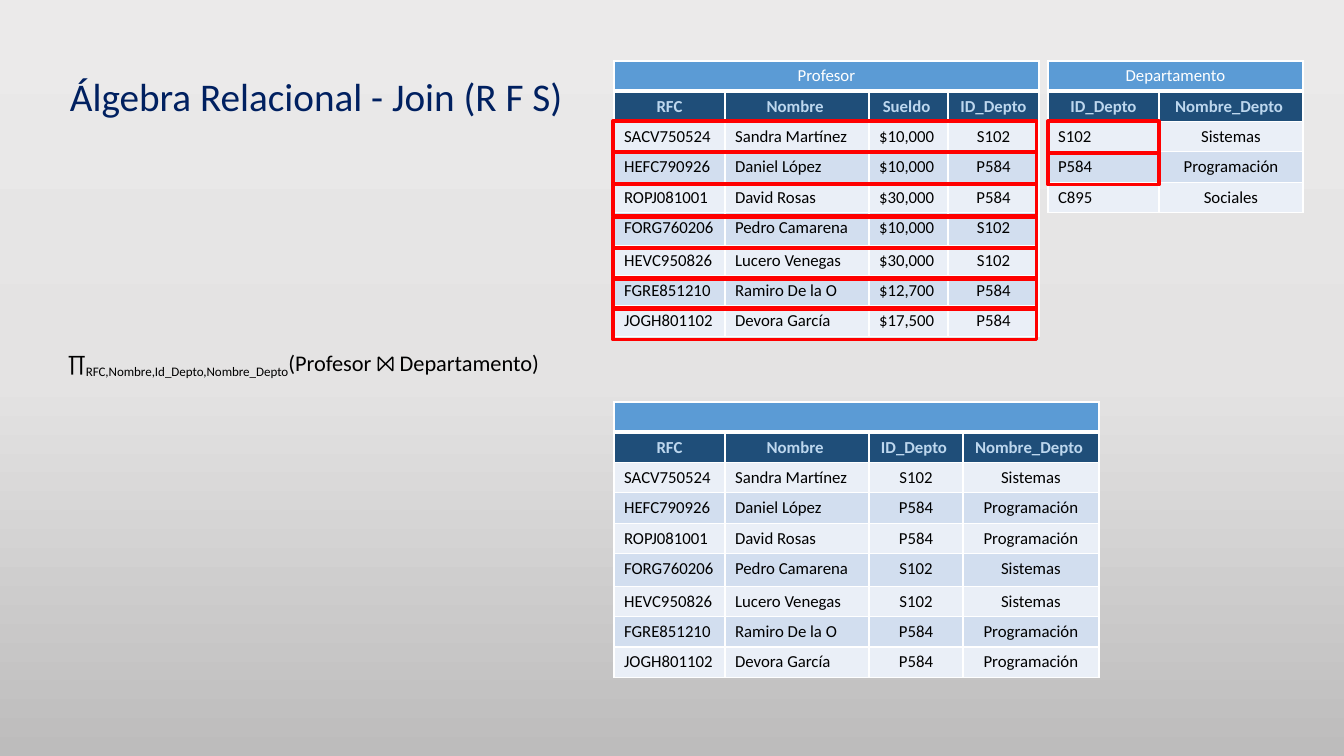
from lxml.etree import SubElement
from pptx import Presentation
from pptx.dml.color import RGBColor
from pptx.enum.shapes import MSO_SHAPE
from pptx.enum.text import PP_ALIGN
from pptx.oxml.ns import qn
from pptx.util import Emu, Pt

FONT = "Calibri"
NAVY, BLACK, WHITE, RED = "002060", "000000", "FFFFFF", "FF0000"
TITLE_FILL, HEADER_FILL, HEADER_TEXT = "5B9BD5", "1F4E79", "BDD7EE"
BANDS = ["EAEFF7", "D2DEEF"]
BACKGROUND = [(0, "EBEAEA"), (50, "E4E3E3"), (100, "BDBCBC")]
ALIGNMENTS = {"l": PP_ALIGN.LEFT, "c": PP_ALIGN.CENTER}
ROW, TALL_ROW, TALL_INDEX = 30, 33, 5

PROFESSORS = [
    ("SACV750524", "Sandra Martínez", "$10,000", "S102"),
    ("HEFC790926", "Daniel López", "$10,000", "P584"),
    ("ROPJ081001", "David Rosas", "$30,000", "P584"),
    ("FORG760206", "Pedro Camarena", "$10,000", "S102"),
    ("HEVC950826", "Lucero Venegas", "$30,000", "S102"),
    ("FGRE851210", "Ramiro De la O", "$12,700", "P584"),
    ("JOGH801102", "Devora García", "$17,500", "P584"),
]
DEPARTMENTS = {"S102": "Sistemas", "P584": "Programación", "C895": "Sociales"}
JOINED = [
    (rfc, name, department, DEPARTMENTS[department])
    for rfc, name, salary, department in PROFESSORS
]


def px(length):
    return Emu(round(length * 914400 / 100.8))


def color(value):
    return RGBColor.from_string(value)


class JoinSlide:
    def __init__(self, presentation):
        self.slide = presentation.slides.add_slide(presentation.slide_layouts[6])

    def background(self, stops):
        fill = self.slide.background.fill
        fill.gradient()
        fill.gradient_angle = 270
        stop_list = self.slide.element.find(".//" + qn("a:gsLst"))
        stop_list.clear()
        for position, value in stops:
            stop = SubElement(stop_list, qn("a:gs"), pos=str(position * 1000))
            SubElement(stop, qn("a:srgbClr"), val=value)

    def style(self, run, size, value, bold=False):
        run.font.name = FONT
        run.font.size = Pt(size)
        run.font.bold = bold
        run.font.color.rgb = color(value)

    def text(self, left, top, width, height, pieces, size, value):
        shape = self.slide.shapes.add_textbox(px(left), px(top), px(width), px(height))
        shape.text_frame.word_wrap = True
        paragraph = shape.text_frame.paragraphs[0]
        for piece, baseline in pieces:
            run = paragraph.add_run()
            run.text = piece
            self.style(run, size, value)
            if baseline:
                run.font._element.set("baseline", str(baseline * 1000))
        return paragraph

    def borders(self, cell, bottom):
        properties = cell._tc.get_or_add_tcPr()
        widths = {"a:lnL": 1, "a:lnR": 1, "a:lnT": 1, "a:lnB": bottom}
        for index, (side, width) in enumerate(widths.items()):
            line = properties.makeelement(qn(side), {"w": str(Pt(width))})
            properties.insert(index, line)
            SubElement(SubElement(line, qn("a:solidFill")), qn("a:srgbClr"), val=WHITE)

    def cell(self, cell, text, alignment, fill, value, bold=False, bottom=1):
        cell.fill.solid()
        cell.fill.fore_color.rgb = color(fill)
        self.borders(cell, bottom)
        paragraph = cell.text_frame.paragraphs[0]
        paragraph.text = text
        paragraph.alignment = ALIGNMENTS[alignment]
        for run in paragraph.runs:
            self.style(run, 12, value, bold)
        if not text:
            SubElement(paragraph._p, qn("a:endParaRPr"), sz="1200")

    def table(self, left, top, widths, title, headers, records, alignments):
        heights = [ROW] * (len(records) + 2)
        if len(heights) > TALL_INDEX:
            heights[TALL_INDEX] = TALL_ROW
        table = self.slide.shapes.add_table(
            len(heights), len(widths), px(left), px(top), px(sum(widths)), px(sum(heights))
        ).table
        table.first_row = table.horz_banding = False
        for column, width in zip(table.columns, widths):
            column.width = px(width)
        for row, height in zip(table.rows, heights):
            row.height = px(height)
        for index, header in enumerate(headers):
            caption = "" if index else title
            self.cell(table.cell(0, index), caption, "c", TITLE_FILL, WHITE, bottom=3)
            self.cell(table.cell(1, index), header, "c", HEADER_FILL, HEADER_TEXT, True)
        table.cell(0, 0).merge(table.cell(0, len(widths) - 1))
        for row, record in enumerate(records):
            for column, text in enumerate(record):
                self.cell(table.cell(row + 2, column), text, alignments[column],
                          BANDS[row % 2], BLACK)

    def highlight(self, left, top, width):
        shape = self.slide.shapes.add_shape(
            MSO_SHAPE.RECTANGLE, px(left), px(top), px(width), px(32)
        )
        shape.shadow.inherit = False
        shape.fill.background()
        shape.line.color.rgb = color(RED)
        shape.line.width = Pt(2.25)


def main():
    presentation = Presentation()
    presentation.slide_width = px(1344)
    presentation.slide_height = px(756)
    join = JoinSlide(presentation)
    join.background(BACKGROUND)

    heading = join.text(60, 73, 1191, 609, [("Álgebra Relacional - Join (R F S)", 0)], 28, NAVY)
    heading.line_spacing = 0.9
    heading.space_before = Pt(10)

    join.table(614, 61, [111, 144, 79, 91], "Profesor",
               ["RFC", "Nombre ", "Sueldo ", "ID_Depto"], PROFESSORS, "lllc")
    join.table(1048, 61, [111, 144], "Departamento",
               ["ID_Depto", "Nombre_Depto "], list(DEPARTMENTS.items()), "lc")
    join.text(58, 344, 528, 67, [
        ("∏", 0),
        ("RFC,Nombre,Id_Depto,Nombre_Depto", -25),
        ("(Profesor ⨝ Departamento)", 0),
    ], 16, BLACK)
    join.table(614, 402, [111, 144, 94, 136], "",
               ["RFC", "Nombre ", "ID_Depto ", "Nombre_Depto "], JOINED, "llcc")

    for top in [121, 152, 184, 217, 248, 278, 308]:
        join.highlight(613, top, 424)
    for top in [121, 153]:
        join.highlight(1048, top, 111)

    presentation.save("out.pptx")


if __name__ == "__main__":
    main()
